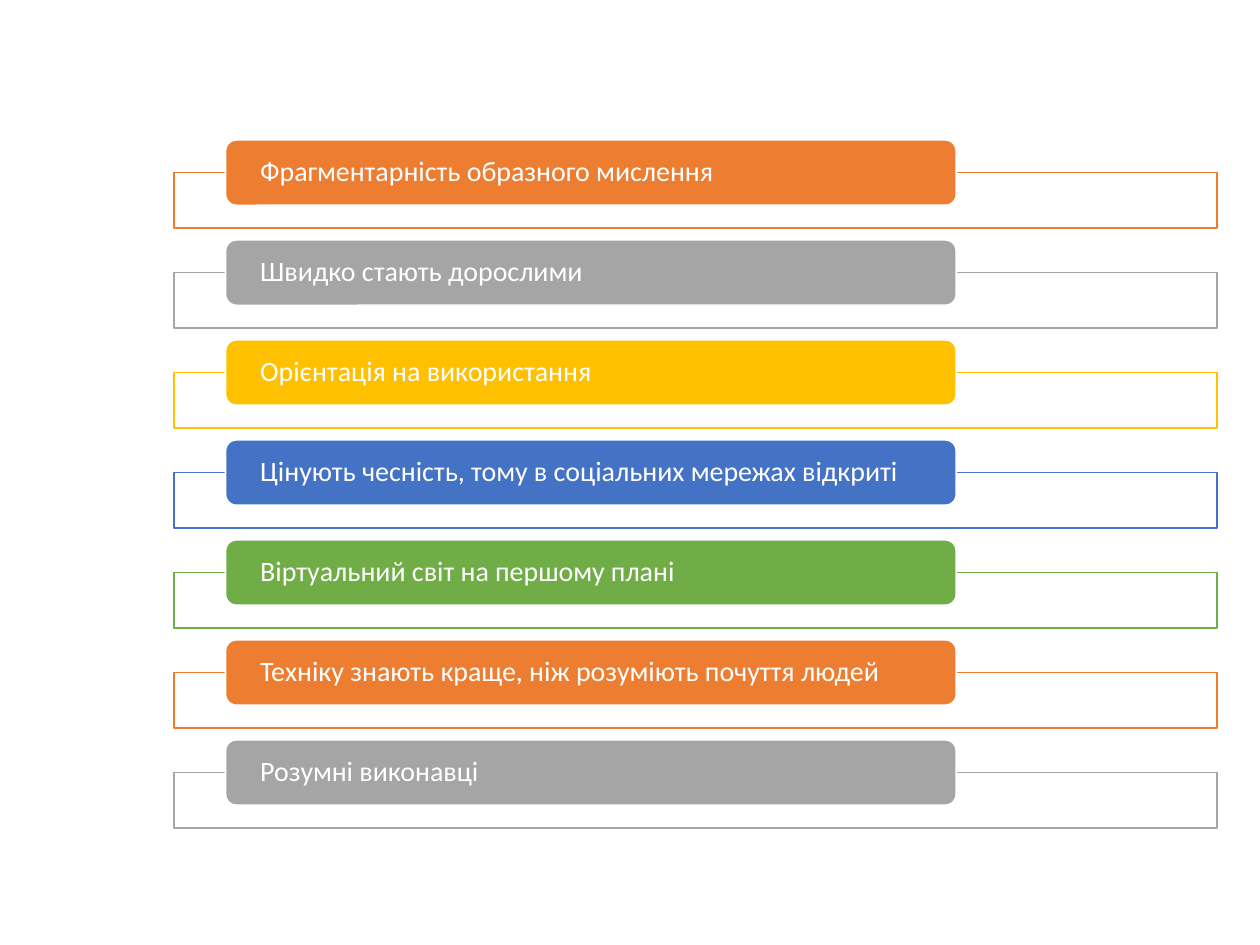
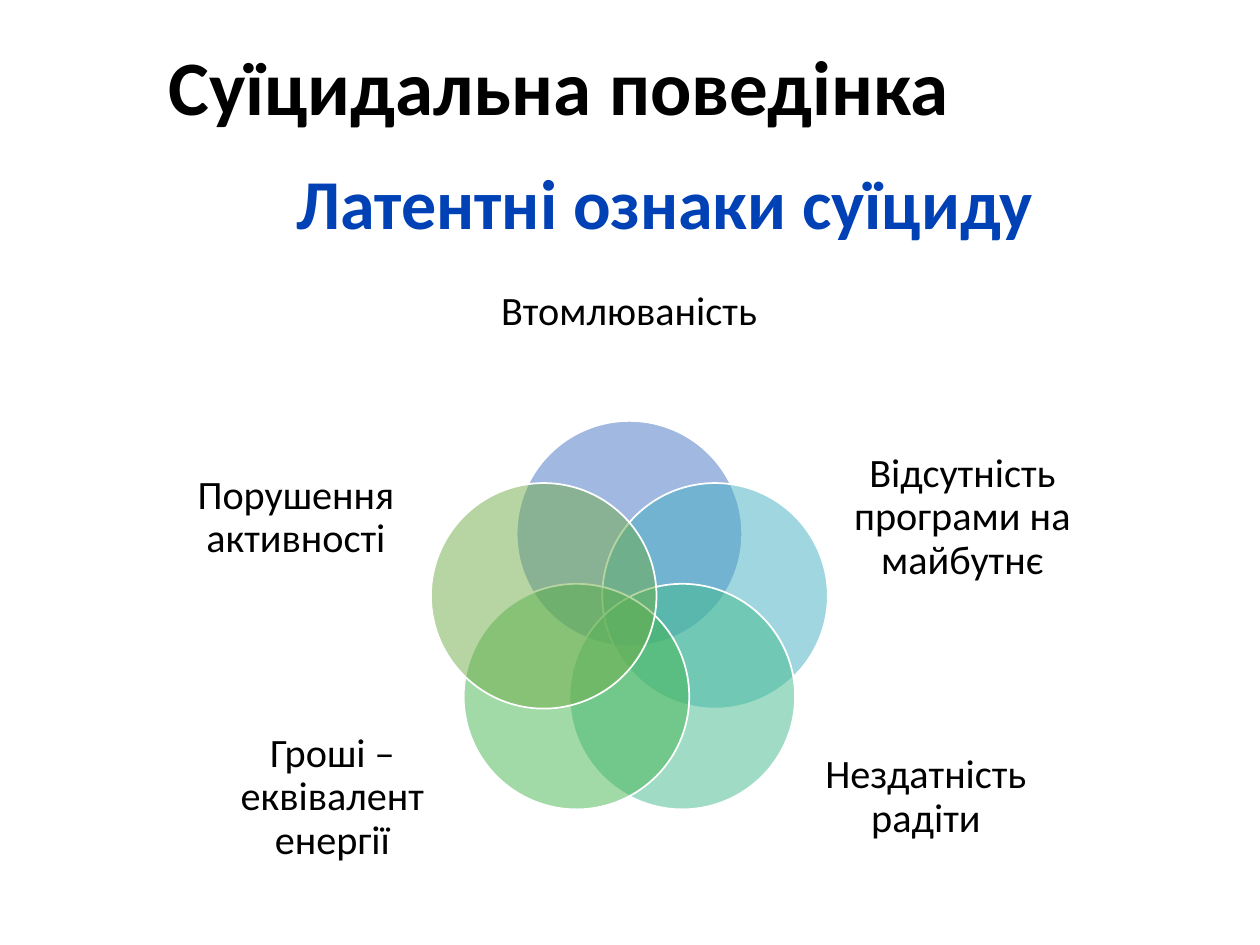
import math

import lxml.etree
import pptx
import pptx.dml.color
import pptx.enum.shapes
import pptx.enum.text
import pptx.oxml.ns
import pptx.util

RGBColor = pptx.dml.color.RGBColor
SHAPE = pptx.enum.shapes.MSO_SHAPE
ALIGN = pptx.enum.text.PP_ALIGN
ANCHOR = pptx.enum.text.MSO_ANCHOR

WHITE = RGBColor(0xFF, 0xFF, 0xFF)
BLACK = RGBColor(0x00, 0x00, 0x00)
HEADING_BLUE = RGBColor(0x00, 0x41, 0xB6)
ORANGE = RGBColor(0xED, 0x7D, 0x31)
GRAY = RGBColor(0xA5, 0xA5, 0xA5)
GOLD = RGBColor(0xFF, 0xC0, 0x00)
BLUE = RGBColor(0x44, 0x72, 0xC4)
GREEN = RGBColor(0x70, 0xAD, 0x47)
CYAN = RGBColor(0x43, 0xAF, 0xC0)
TEAL = RGBColor(0x43, 0xBB, 0x8D)
LIME = RGBColor(0x45, 0xB4, 0x51)
FONT = "Calibri"

presentation = pptx.Presentation()
presentation.slide_width = pptx.util.Inches(10)
presentation.slide_height = pptx.util.Inches(7.5)
blank_layout = presentation.slide_layouts[6]

# All places are given in columns and rows of a 100 x 75 grid.
COLUMN = presentation.slide_width / 100
ROW = presentation.slide_height / 75


def add_figure(slide, kind, place, fill, line, opacity=100):
    """Add a preset shape at (left, top, width, height) in grid units."""
    left, top, width, height = place
    shape = slide.shapes.add_shape(kind, round(left * COLUMN), round(top * ROW),
                                   round(width * COLUMN), round(height * ROW))
    shape.shadow.inherit = False
    shape.fill.solid()
    shape.fill.fore_color.rgb = fill
    shape.line.color.rgb = line
    shape.line.width = pptx.util.Pt(1)
    if opacity < 100:
        color = shape.fill._xPr.find(".//" + pptx.oxml.ns.qn("a:srgbClr"))
        alpha = lxml.etree.SubElement(color, pptx.oxml.ns.qn("a:alpha"))
        alpha.set("val", str(opacity * 1000))
    return shape


def write_text(shape, text, size, color, align, insets, anchor=ANCHOR.MIDDLE, bold=False):
    """Write one wrapped paragraph; insets are (side, top and bottom) in grid units."""
    side, vertical = insets
    frame = shape.text_frame
    frame.text = text
    frame.word_wrap = True
    frame.vertical_anchor = anchor
    frame.margin_left = frame.margin_right = round(side * COLUMN)
    frame.margin_top = frame.margin_bottom = round(vertical * ROW)
    paragraph = frame.paragraphs[0]
    paragraph.alignment = align
    paragraph.line_spacing = 0.9
    font = paragraph.runs[0].font
    font.name = FONT
    font.size = pptx.util.Pt(size)
    font.bold = bold
    font.color.rgb = color


# Slide 1: list of traits, a coloured bar over an open frame for each
slide = presentation.slides.add_slide(blank_layout)
traits = [
    ("Фрагментарність образного мислення", ORANGE),
    ("Швидко стають дорослими", GRAY),
    ("Орієнтація на використання", GOLD),
    ("Цінують чесність, тому в соціальних мережах відкриті", BLUE),
    ("Віртуальний світ на першому плані", GREEN),
    ("Техніку знають краще, ніж розуміють почуття людей", ORANGE),
    ("Розумні виконавці", GRAY),
]
FIRST_BAR, BAR_STEP, BAR_HEIGHT = 11.1, 7.935, 5.2
for index, (trait, color) in enumerate(traits):
    bar_top = FIRST_BAR + index * BAR_STEP
    frame_top = bar_top + BAR_HEIGHT / 2
    add_figure(slide, SHAPE.RECTANGLE, (13.8, frame_top, 82.8, 4.4), WHITE, color, 90)
    bar = add_figure(slide, SHAPE.ROUNDED_RECTANGLE,
                     (17.9, bar_top, 58, BAR_HEIGHT), color, WHITE)
    write_text(bar, trait, 16, WHITE, ALIGN.LEFT, (2.5, 0))

# Slide 2: headings above a ring of five overlapping circles
slide = presentation.slides.add_slide(blank_layout)
headings = [
    ("Суїцидальна поведінка", (12.4, 1.5, 75, 11.4), 44, BLACK, ALIGN.LEFT, ANCHOR.MIDDLE, 0),
    ("Латентні ознаки суїциду", (12.4, 12.9, 80.7, 58.6), 40, HEADING_BLUE, ALIGN.CENTER,
     ANCHOR.TOP, 10),
]
for text, (left, top, width, height), size, color, align, anchor, space_before in headings:
    box = slide.shapes.add_textbox(round(left * COLUMN), round(top * ROW),
                                   round(width * COLUMN), round(height * ROW))
    write_text(box, text, size, color, align, (1, 0.5), anchor, bold=True)
    box.text_frame.paragraphs[0].space_before = pptx.util.Pt(space_before)

signs = [
    ("Втомлюваність", (39.6, 18.8, 20.7, 12), BLUE),
    ("Відсутність програми на майбутнє", (67.1, 34.6, 18.6, 13), CYAN),
    ("Нездатність радіти", (64.2, 56.8, 18.6, 13), TEAL),
    ("Гроші – еквівалент енергії", (17.1, 56.8, 18.6, 13), LIME),
    ("Порушення активності", (14.2, 34.6, 18.6, 13), GREEN),
]
CENTER_X, CENTER_Y, RING_RADIUS, DIAMETER = 49.95, 49.5, 7.15, 17.9
for index, (sign, (left, top, width, height), color) in enumerate(signs):
    angle = 2 * math.pi * index / len(signs)
    circle_left = CENTER_X + RING_RADIUS * math.sin(angle) - DIAMETER / 2
    circle_top = CENTER_Y - RING_RADIUS * math.cos(angle) - DIAMETER / 2
    add_figure(slide, SHAPE.OVAL, (circle_left, circle_top, DIAMETER, DIAMETER),
               color, WHITE, 50)
    label = slide.shapes.add_textbox(round(left * COLUMN), round(top * ROW),
                                     round(width * COLUMN), round(height * ROW))
    write_text(label, sign, 23, BLACK, ALIGN.CENTER, (0, 0))

presentation.save("out.pptx")
